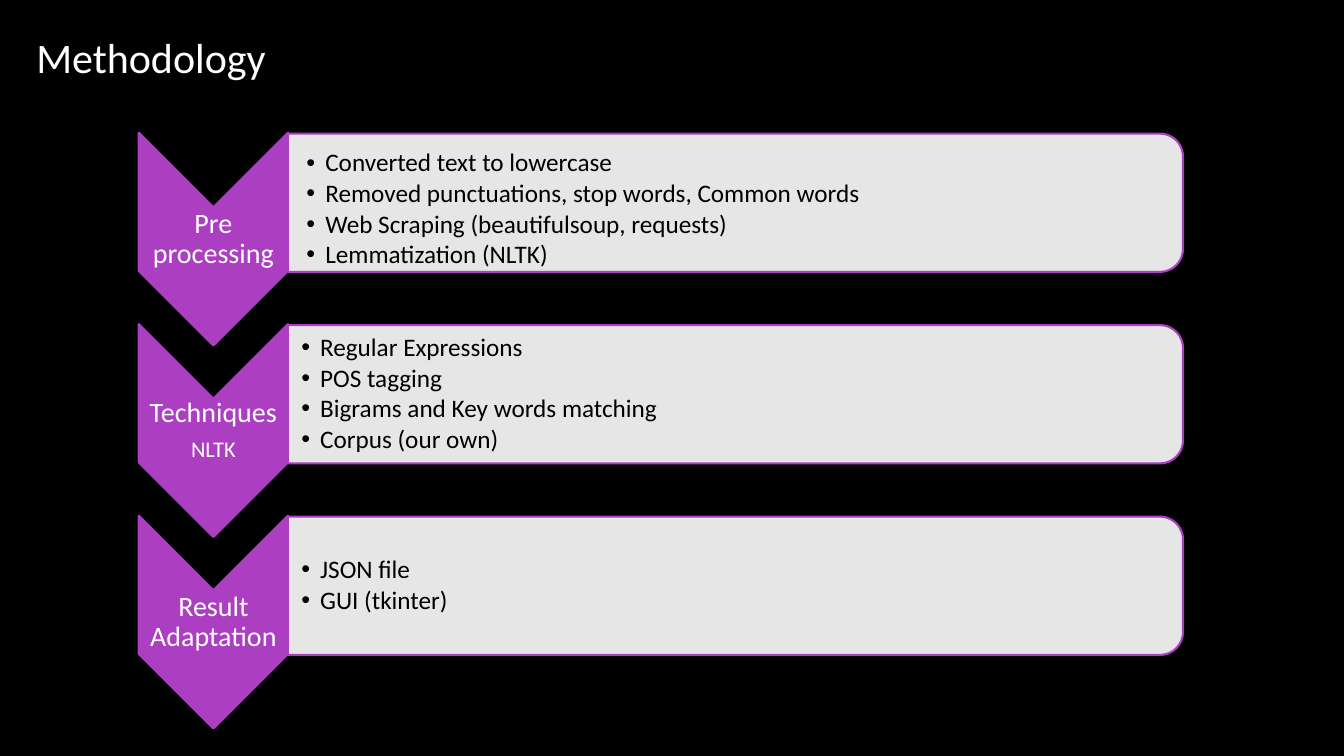
import pptx
import pptx.util
import pptx.dml.color
import pptx.enum.shapes
import pptx.enum.text
import pptx.oxml.ns
from lxml import etree

Pt = pptx.util.Pt
SHAPE = pptx.enum.shapes.MSO_SHAPE
ALIGN = pptx.enum.text.PP_ALIGN
FONT, PURPLE, WHITE, BLACK = "Calibri", "AC3EC1", "FFFFFF", "000000"

TITLE = "Methodology"
STEPS = [
    {"label": [("Pre processing", 20)], "inset": 13.7, "drop": 5,
     "points": ["Converted text to lowercase",
                "Removed punctuations, stop words, Common words",
                "Web Scraping (beautifulsoup, requests)",
                "Lemmatization (NLTK)"]},
    {"label": [("Techniques", 20), ("NLTK", 16)], "inset": 10, "drop": 0,
     "points": ["Regular Expressions", "POS tagging",
                "Bigrams and Key words matching", "Corpus (our own)"]},
    {"label": [("Result Adaptation", 20)], "inset": 10, "drop": 0,
     "points": ["JSON file", "GUI (tkinter)"]},
]

PITCH = 136.8
CHEVRON_X, CHEVRON_Y, CHEVRON_W, CHEVRON_H = 152.4, 170.8, 152, 106.6
CARD_X, CARD_Y, CARD_W, CARD_H = 525.3, 144.8, 98.8, 639.4
LABEL_H = 45.4
LIST_LEFT, LIST_W, LIST_H = 205.2, 635, 89.3


def rgb(value):
    return pptx.dml.color.RGBColor.from_string(value)


def place(sp, left, top, width, height):
    sp.left, sp.top, sp.width, sp.height = Pt(left), Pt(top), Pt(width), Pt(height)


def turned_shape(s, kind, cx, cy, width, height, color):
    sp = s.shapes.add_shape(kind, Pt(cx - width / 2), Pt(cy - height / 2), Pt(width), Pt(height))
    sp.rotation = 90
    sp.shadow.inherit = False
    sp.fill.solid()
    sp.fill.fore_color.rgb = rgb(color)
    sp.line.color.rgb = rgb(PURPLE)
    sp.line.width = Pt(1.5)
    return sp


def set_frame(sp, left, other):
    tf = sp.text_frame
    tf.word_wrap = True
    tf.auto_size = pptx.enum.text.MSO_AUTO_SIZE.NONE
    tf.vertical_anchor = pptx.enum.text.MSO_ANCHOR.MIDDLE
    tf.margin_left = Pt(left)
    tf.margin_top = tf.margin_right = tf.margin_bottom = Pt(other)
    return tf


def write(tf, lines, color, align, after, spacing=0.9):
    for i, (text, size) in enumerate(lines):
        p = tf.paragraphs[0] if i == 0 else tf.add_paragraph()
        p.text = text
        p.alignment = align
        p.line_spacing = spacing
        p.space_before, p.space_after = Pt(0), Pt(after)
        p.font.name, p.font.size, p.font.bold = FONT, Pt(size), False
        p.font.color.rgb = rgb(color)


def add_bullets(tf):
    for p in tf.paragraphs:
        pPr = p._p.get_or_add_pPr()
        pPr.set("marL", str(Pt(13.5)))
        pPr.set("indent", str(-Pt(13.5)))
        bullet = pptx.oxml.ns.qn("a:buChar")
        mark = etree.Element(bullet, char="•")
        pPr.insert_element_before(mark, "a:tabLst", "a:defRPr", "a:extLst")


def add_step(s, step, body, offset):
    cy = CHEVRON_Y + offset
    turned_shape(s, SHAPE.CHEVRON, CHEVRON_X, cy, CHEVRON_W, CHEVRON_H, PURPLE)
    label = s.shapes.add_textbox(Pt(CHEVRON_X - CHEVRON_H / 2), Pt(cy - LABEL_H / 2),
                                 Pt(CHEVRON_H), Pt(LABEL_H))
    write(set_frame(label, 0.9, 0.9), step["label"], WHITE, ALIGN.CENTER, 7)

    cy = CARD_Y + offset
    card = turned_shape(s, SHAPE.ROUND_2_SAME_RECTANGLE, CARD_X, cy, CARD_W, CARD_H, WHITE)
    color = card.fill._xPr.find(".//" + pptx.oxml.ns.qn("a:srgbClr"))
    etree.SubElement(color, pptx.oxml.ns.qn("a:alpha"), val="90000")

    place(body, LIST_LEFT, cy - LIST_H / 2 + step["drop"], LIST_W, LIST_H)
    tf = set_frame(body, step["inset"], 0.9)
    write(tf, [(text, 18) for text in step["points"]], BLACK, ALIGN.LEFT, 2.4)
    add_bullets(tf)
    s.shapes._spTree.append(body._element)


def main():
    prs = pptx.Presentation()
    prs.slide_width, prs.slide_height = Pt(960), Pt(540)
    s = prs.slides.add_slide(prs.slide_layouts.get_by_name("Comparison"))
    s.background.fill.solid()
    s.background.fill.fore_color.rgb = rgb(BLACK)

    title, *bodies, spare = list(s.placeholders)
    spare._element.getparent().remove(spare._element)
    place(title, 18.7, 18.7, 226.8, 44)
    write(set_frame(title, 7.2, 3.6), [(TITLE, 30)], WHITE, ALIGN.LEFT, 0, 1.0)

    for i, (step, body) in enumerate(zip(STEPS, bodies)):
        add_step(s, step, body, i * PITCH)
    prs.save("out.pptx")


if __name__ == "__main__":
    main()
